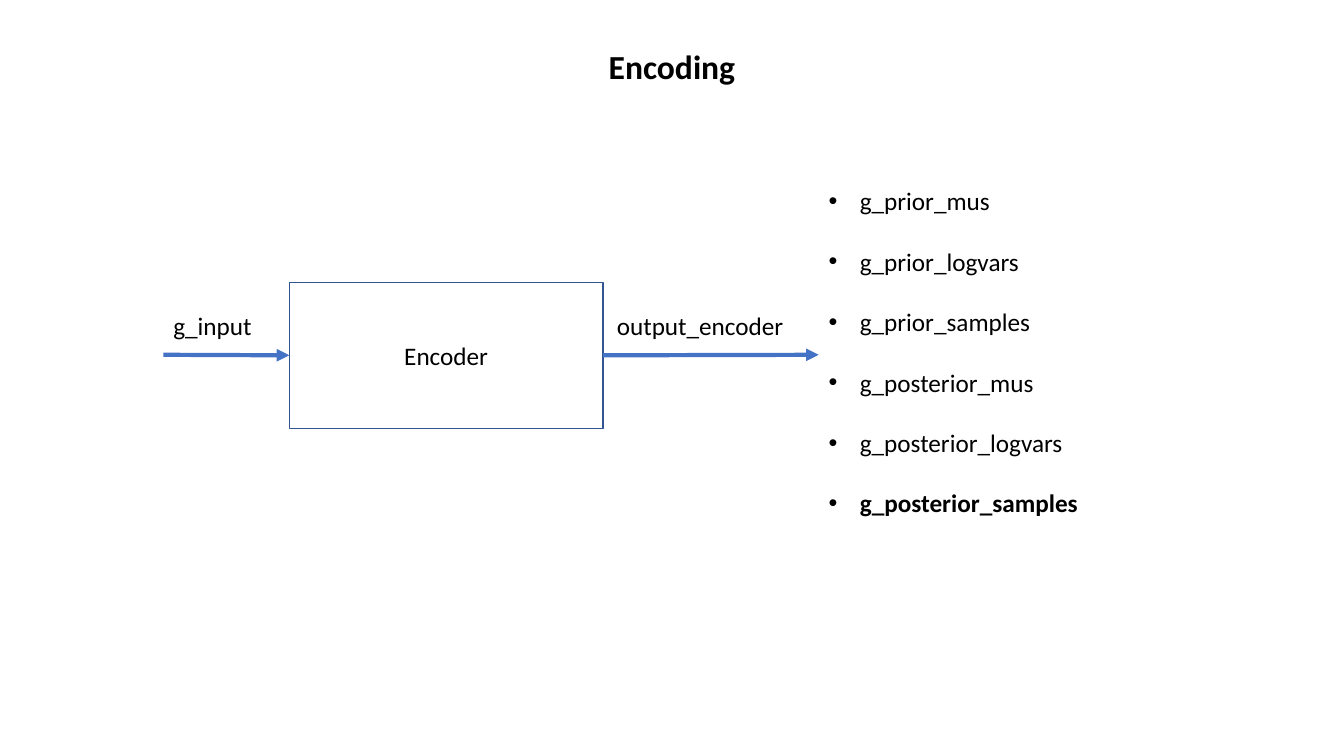
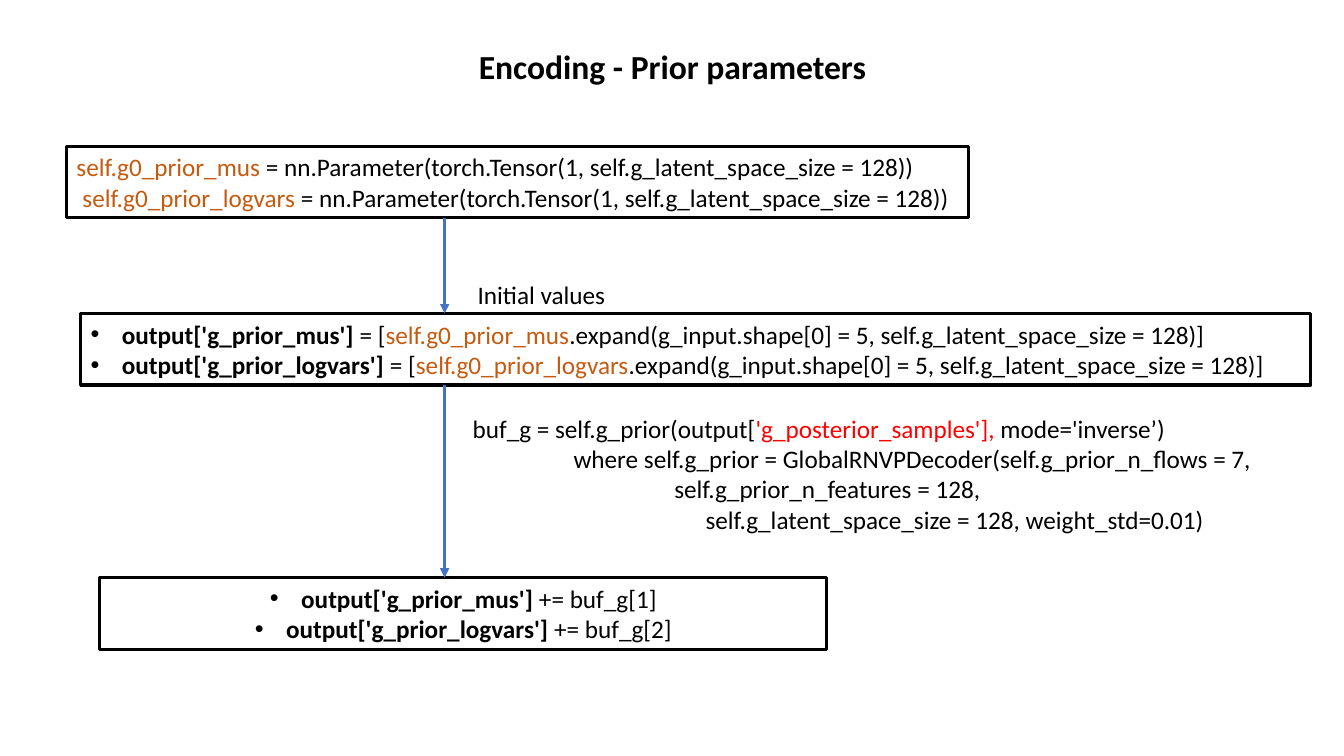
from lxml import etree
from pptx import Presentation
from pptx.dml.color import RGBColor
from pptx.enum.shapes import MSO_CONNECTOR, MSO_SHAPE
from pptx.enum.text import MSO_ANCHOR, MSO_AUTO_SIZE, PP_ALIGN
from pptx.oxml.ns import qn
from pptx.util import Inches, Pt

STRAIGHT = MSO_CONNECTOR.STRAIGHT
RECTANGLE = MSO_SHAPE.RECTANGLE
MIDDLE = MSO_ANCHOR.MIDDLE
FIT = MSO_AUTO_SIZE.SHAPE_TO_FIT_TEXT
LEFT, CENTER = PP_ALIGN.LEFT, PP_ALIGN.CENTER
SIDE_LEFT, SIDE_RIGHT = 1, 3

BLACK, BLUE, DARK_BLUE = "000000", "4472C4", "325491"
BOLD = {"bold": True}
ORANGE = {"color": "C55A11"}
RED = {"color": "FF0000"}


def rgb(value):
    return RGBColor.from_string(value)


class Deck:
    """Holds the shared style and the slide being built."""

    font = {"name": "Calibri", "size": Pt(18), "bold": False}
    bullet_indent = 0.31

    def __init__(self):
        self.prs = Presentation()
        self.prs.slide_width = Inches(13.33)
        self.prs.slide_height = Inches(7.5)
        self.slide = None

    def new_slide(self, title, left, width):
        self.slide = self.prs.slides.add_slide(self.prs.slide_layouts[6])
        self.text(left, 0.41, width, 0.5, [[(title, {"size": Pt(24), **BOLD})]],
                  align=CENTER)

    def fill_text(self, frame, lines, align=LEFT, bullets=False, gap=0, indents=()):
        """Each line is a list of runs: plain strings or (string, format) pairs."""
        for number, line in enumerate(lines):
            paragraph = frame.paragraphs[0] if number == 0 else frame.add_paragraph()
            paragraph.alignment = align
            if number and gap:
                paragraph.space_before = Pt(gap)
            props = paragraph._p.get_or_add_pPr()
            if bullets:
                props.set("marL", str(Inches(self.bullet_indent)))
                props.set("indent", str(-Inches(self.bullet_indent)))
                etree.SubElement(props, qn("a:buFont")).set("typeface", "Arial")
                etree.SubElement(props, qn("a:buChar")).set("char", "•")
            elif indents:
                props.set("marL", str(Inches(indents[number])))
            for part in line:
                words, extra = (part, {}) if isinstance(part, str) else part
                values = {**self.font, **extra}
                color = values.pop("color", BLACK)
                run = paragraph.add_run()
                run.text = words
                for key, value in values.items():
                    setattr(run.font, key, value)
                run.font.color.rgb = rgb(color)

    def text(self, left, top, width, height, lines, wrap=False, **layout):
        box = self.slide.shapes.add_textbox(
            Inches(left), Inches(top), Inches(width), Inches(height))
        box.text_frame.word_wrap = wrap
        box.text_frame.auto_size = FIT
        self.fill_text(box.text_frame, lines, **layout)

    def box(self, left, top, width, height, lines, line=BLACK, weight=2.25, **layout):
        shape = self.slide.shapes.add_shape(
            RECTANGLE, Inches(left), Inches(top), Inches(width), Inches(height))
        shape.shadow.inherit = False
        shape.fill.background()
        shape.line.color.rgb = rgb(line)
        shape.line.width = Pt(weight)
        shape.text_frame.word_wrap = True
        shape.text_frame.vertical_anchor = MIDDLE
        self.fill_text(shape.text_frame, lines, **layout)
        return shape

    def arrow(self, x1, y1, x2, y2, weight=2.25):
        arrow = self.slide.shapes.add_connector(
            STRAIGHT, Inches(x1), Inches(y1), Inches(x2), Inches(y2))
        arrow.line.color.rgb = rgb(BLUE)
        arrow.line.width = Pt(weight)
        etree.SubElement(arrow.line._get_or_add_ln(), qn("a:tailEnd")).set("type", "triangle")
        etree.SubElement(arrow._element.spPr, qn("a:effectLst"))
        return arrow


def encoding_slide(deck):
    deck.new_slide("Encoding", 5.93, 1.47)

    # Encoder with its input and output
    encoder = deck.box(2.87, 2.8, 3.11, 1.45, [["Encoder"]],
                       line=DARK_BLUE, weight=1, align=CENTER)
    flow_y = 3.52
    input_arrow = deck.arrow(1.62, flow_y, 2.87, flow_y, weight=3)
    input_arrow.end_connect(encoder, SIDE_LEFT)
    output_arrow = deck.arrow(5.98, flow_y, 8.12, flow_y, weight=3)
    output_arrow.begin_connect(encoder, SIDE_RIGHT)
    deck.text(1.62, 3.03, 0.99, 0.4, [["g_input"]])
    deck.text(6.02, 3.03, 1.87, 0.4, [["output_encoder"]])

    # Encoder outputs
    outputs = ["g_prior_mus", "g_prior_logvars", "g_prior_samples",
               "g_posterior_mus", "g_posterior_logvars",
               ("g_posterior_samples", BOLD)]
    deck.text(8.12, 1.79, 3.37, 3.43, [[output] for output in outputs],
              wrap=True, bullets=True, gap=21.6)


def prior_slide(deck):
    deck.new_slide("Encoding - Prior parameters", 4.63, 4.08)
    priors = ["g_prior_mus", "g_prior_logvars"]
    learned = {prior: f"self.{prior.replace('g_', 'g0_', 1)}" for prior in priors}
    keys = {prior: (f"output['{prior}'] ", BOLD) for prior in priors}

    # Learned parameters
    deck.box(0.66, 1.45, 8.95, 0.71, [
        [(f"{learned[prior]} ", ORANGE),
         "= nn.Parameter(torch.Tensor(1, self.g_latent_space_size = 128))"]
        for prior in priors], indents=(0, 0.06))

    # Initial values
    deck.text(4.63, 2.72, 1.48, 0.4, [["Initial values"]], align=CENTER)
    deck.box(0.8, 3.11, 12.2, 0.71, [
        [keys[prior], "= [", (learned[prior], ORANGE),
         ".expand(g_input.shape[0] = 5, self.g_latent_space_size = 128)]"]
        for prior in priors], bullets=True)

    # Prior decoder call
    deck.text(4.59, 4.05, 8.23, 1.31, [
        ["buf_g = self.g_prior(output[", ("'g_posterior_samples'], ", RED),
         "mode='inverse’)"],
        ["where self.g_prior = GlobalRNVPDecoder(self.g_prior_n_flows = 7,"],
        ["self.g_prior_n_features = 128,"],
        ["self.g_latent_space_size = 128, weight_std=0.01)"],
    ], wrap=True, indents=(0, 1, 2, 2.31))

    # Updated values
    deck.box(0.99, 5.73, 7.21, 0.71, [
        [keys[prior], f"+= buf_g[{index}]"]
        for index, prior in enumerate(priors, start=1)], align=CENTER, bullets=True)

    # Steps from box to box
    for start, end in ((2.16, 3.11), (3.82, 5.73)):
        deck.arrow(4.41, start, 4.41, end)


def main():
    deck = Deck()
    encoding_slide(deck)
    prior_slide(deck)
    deck.prs.save("out.pptx")


if __name__ == "__main__":
    main()
